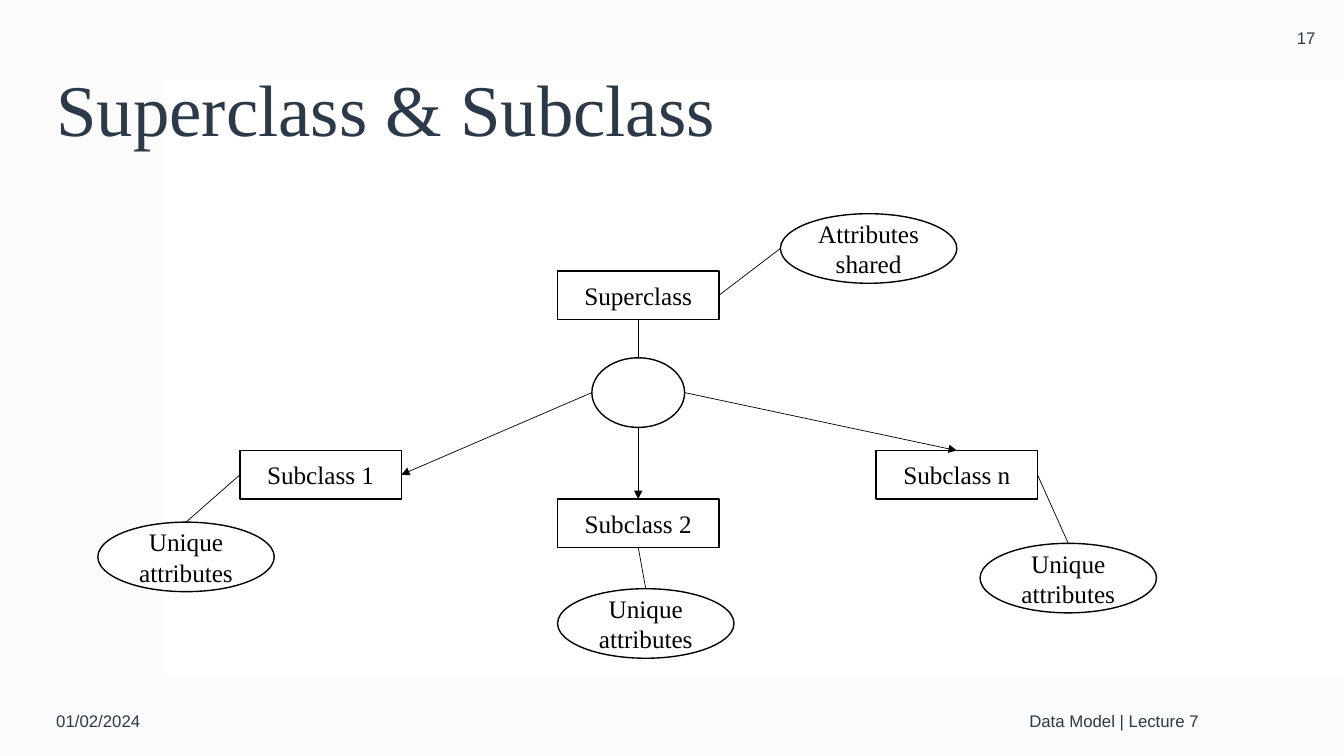
from dataclasses import dataclass

from lxml import etree
from pptx import Presentation
from pptx.dml.color import RGBColor
from pptx.enum.shapes import MSO_CONNECTOR, MSO_SHAPE
from pptx.enum.text import MSO_ANCHOR, MSO_AUTO_SIZE, PP_ALIGN
from pptx.oxml.ns import qn
from pptx.util import Inches, Pt

RECT, OVAL, PROCESS = MSO_SHAPE.RECTANGLE, MSO_SHAPE.OVAL, MSO_SHAPE.FLOWCHART_PROCESS
LEFT, CENTER, RIGHT = PP_ALIGN.LEFT, PP_ALIGN.CENTER, PP_ALIGN.RIGHT
MIDDLE, NO_FIT = MSO_ANCHOR.MIDDLE, MSO_AUTO_SIZE.NONE
STRAIGHT = MSO_CONNECTOR.STRAIGHT
SERIF, SANS = "Times New Roman", "Arial"
INK, WHITE, BLACK, PALE = "2C3948", "FFFFFF", "000000", "F4F4F4"

# Sides, as numbered on a rectangle, and their place within the frame
TOP, WEST, BOTTOM, EAST = range(4)
SIDE_AT = {TOP: (0.5, 0), WEST: (0, 0.5), BOTTOM: (0.5, 1), EAST: (1, 0.5)}

CLASS_SIZE, ATTR_SIZE, HUB_SIZE = (1.6, 0.48), (1.75, 0.69), (0.92, 0.69)


@dataclass
class Node:
    name: str
    lines: list[str]
    kind: int
    x: float
    y: float
    size: tuple[float, float]


@dataclass
class Link:
    start: str
    start_side: int
    end: str
    end_side: int
    arrow: bool = False


@dataclass
class Label:
    text: str
    box: tuple[float, float, float, float]
    align: int
    after: int = 6


UNIQUE = ["Unique", "attributes"]
NODES = [
    Node("hub", [], OVAL, 5.87, 3.55, HUB_SIZE),
    Node("super", ["Superclass"], PROCESS, 5.53, 2.69, CLASS_SIZE),
    Node("sub1", ["Subclass 1"], PROCESS, 2.38, 4.47, CLASS_SIZE),
    Node("sub2", ["Subclass 2"], PROCESS, 5.53, 4.95, CLASS_SIZE),
    Node("subn", ["Subclass n"], PROCESS, 8.69, 4.47, CLASS_SIZE),
    Node("shared", ["Attributes", "shared"], OVAL, 7.74, 2.12, ATTR_SIZE),
    Node("unique1", UNIQUE, OVAL, 0.97, 5.18, ATTR_SIZE),
    Node("unique2", UNIQUE, OVAL, 5.53, 5.84, ATTR_SIZE),
    Node("uniquen", UNIQUE, OVAL, 9.72, 5.39, ATTR_SIZE),
]
LINKS = [
    Link("hub", TOP, "super", BOTTOM),
    Link("hub", WEST, "sub1", EAST, True),
    Link("hub", BOTTOM, "sub2", TOP, True),
    Link("hub", EAST, "subn", TOP, True),
    Link("super", EAST, "shared", WEST),
    Link("sub1", WEST, "unique1", TOP),
    Link("sub2", BOTTOM, "unique2", TOP),
    Link("subn", EAST, "uniquen", TOP),
]
LABELS = [
    Label("01/02/2024", (0.46, 6.8, 3, 0.7), LEFT),
    Label("Data Model | Lecture 7", (4.12, 6.8, 7.87, 0.7), RIGHT),
    Label("17", (12.58, 0, 0.75, 0.75), CENTER, 0),
]


def rgb(value: str) -> RGBColor:
    return RGBColor.from_string(value)


def write(p, text: str, font: str, size: int, color: str, align: int) -> None:
    p.alignment = align
    r = p.add_run()
    r.text = text
    r.font.name, r.font.size = font, Pt(size)
    r.font.color.rgb = rgb(color)


def add_panel(slide, box: tuple, color: str, alpha: int = 100) -> None:
    sp = slide.shapes.add_shape(RECT, *map(Inches, box))
    sp.shadow.inherit = False
    sp.line.fill.background()
    sp.fill.solid()
    sp.fill.fore_color.rgb = rgb(color)
    if alpha < 100:
        clr = sp.fill._xPr.find(".//" + qn("a:srgbClr"))
        etree.SubElement(clr, qn("a:alpha")).set("val", str(alpha * 1000))


def add_label(slide, label: Label) -> None:
    tf = slide.shapes.add_textbox(*map(Inches, label.box)).text_frame
    tf.word_wrap = True
    tf.vertical_anchor = MIDDLE
    p = tf.paragraphs[0]
    p.space_after = Pt(label.after)
    write(p, label.text, SANS, 12, INK, label.align)


def add_node(slide, node: Node):
    sp = slide.shapes.add_shape(node.kind, *map(Inches, (node.x, node.y, *node.size)))
    sp.shadow.inherit = False
    sp.fill.solid()
    sp.fill.fore_color.rgb = rgb(WHITE)
    sp.line.color.rgb = rgb(BLACK)
    sp.line.width = Pt(1)
    tf = sp.text_frame
    tf.margin_left = tf.margin_right = tf.margin_top = tf.margin_bottom = 0
    tf.vertical_anchor = MIDDLE
    for i, line in enumerate(node.lines):
        p = tf.add_paragraph() if i else tf.paragraphs[0]
        write(p, line, SERIF, 18, BLACK, CENTER)
    return sp


def side_point(sp, side: int) -> tuple[int, int]:
    fx, fy = SIDE_AT[side]
    return int(sp.left + fx * sp.width), int(sp.top + fy * sp.height)


def add_link(slide, link: Link, shapes: dict) -> None:
    start, end = shapes[link.start], shapes[link.end]
    line = slide.shapes.add_connector(
        STRAIGHT, *side_point(start, link.start_side), *side_point(end, link.end_side))
    if start.auto_shape_type == PROCESS:
        line.begin_connect(start, link.start_side)
    if end.auto_shape_type == PROCESS:
        line.end_connect(end, link.end_side)
    line.line.color.rgb = rgb(BLACK)
    line.line.width = Pt(0.5)
    if link.arrow:
        ln = line.line._get_or_add_ln()
        etree.SubElement(ln, qn("a:tailEnd")).set("type", "triangle")
    etree.SubElement(line._element.spPr, qn("a:effectLst"))


def add_title(slide, text: str) -> None:
    title = slide.shapes.title
    title.left, title.top, title.width, title.height = map(Inches, (0.46, 0.4, 11.53, 1.45))
    tf = title.text_frame
    tf.auto_size = NO_FIT
    tf.vertical_anchor = MIDDLE
    p = tf.paragraphs[0]
    p.line_spacing = 0.9
    write(p, text, SERIF, 52, INK, LEFT)
    # Bring the title in front of the panels
    slide.shapes._spTree.append(title._element)


def main() -> None:
    prs = Presentation()
    prs.slide_width, prs.slide_height = Inches(13.33), Inches(7.5)
    slide = prs.slides.add_slide(prs.slide_layouts[5])

    # Background panels
    add_panel(slide, (0, 0, 13.33, 7.5), PALE, 35)
    add_panel(slide, (1.62, 0.78, 11.71, 5.93), WHITE)

    # Title, date, footer and page number
    add_title(slide, "Superclass & Subclass")
    for label in LABELS:
        add_label(slide, label)

    # Class hierarchy
    shapes = {node.name: add_node(slide, node) for node in NODES}
    for link in LINKS:
        add_link(slide, link, shapes)

    prs.save("out.pptx")


if __name__ == "__main__":
    main()
